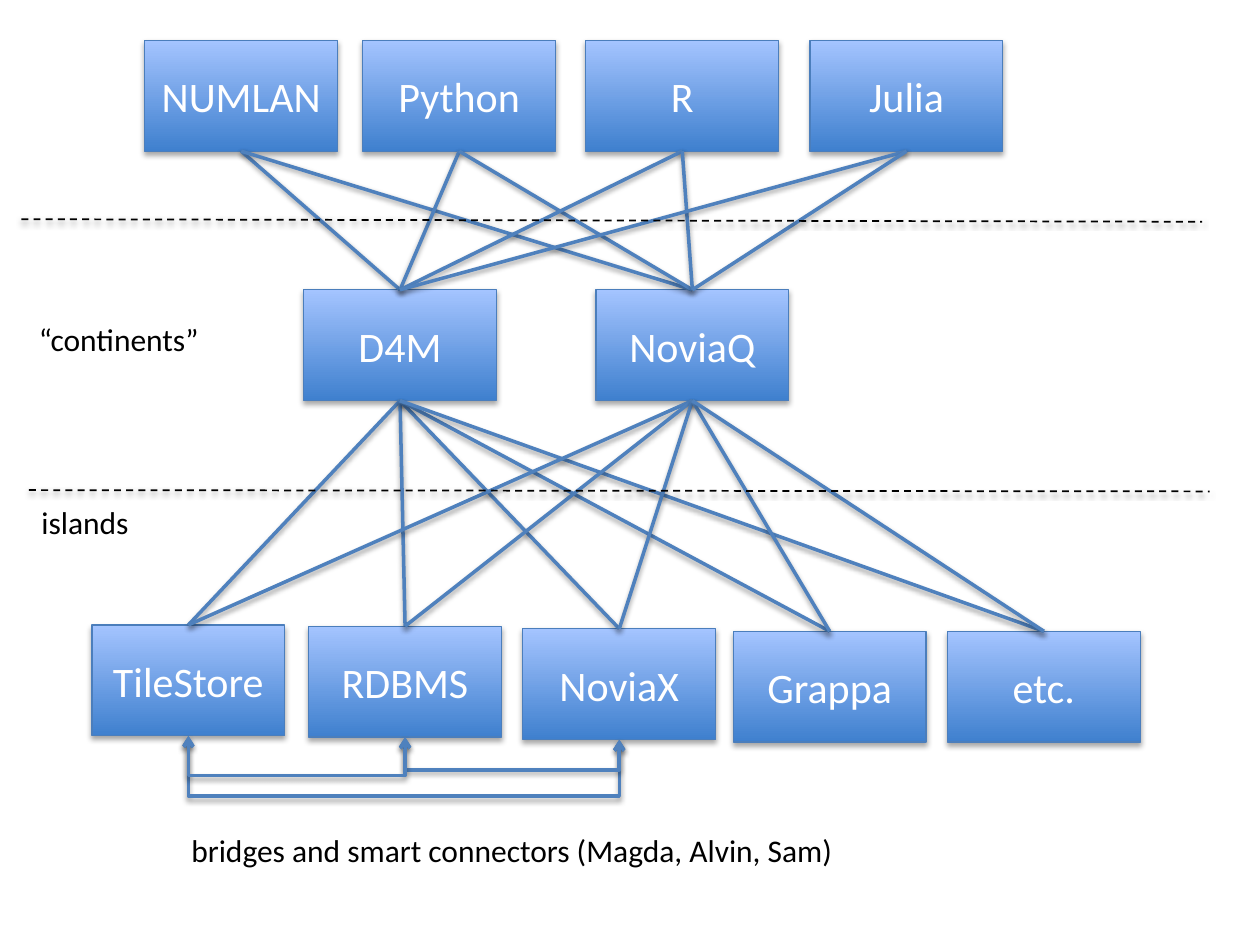
from itertools import product
from lxml.etree import SubElement as Sub
from pptx import Presentation
from pptx.dml.color import RGBColor as Rgb
from pptx.enum.dml import MSO_LINE as Dash
from pptx.enum.shapes import MSO_CONNECTOR as Link, MSO_SHAPE as Shape
from pptx.enum.text import MSO_ANCHOR as Anchor, MSO_AUTO_SIZE as Fit, PP_ALIGN as Align
from pptx.oxml.ns import qn
from pptx.util import Inches, Pt

HUE = {"low": "3F80CE", "high": "A4C4FF", "edge": "4B7EBC",
       "link": "4F81BD", "ink": "000000", "paper": "FFFFFF"}
WIDE, TALL = 1.53, 0.88
LANGS = [("NUMLAN", 1.15, 0.32), ("Python", 2.88, 0.32), ("R", 4.65, 0.32), ("Julia", 6.43, 0.32)]
LANDS = [("D4M", 2.41, 2.3), ("NoviaQ", 4.73, 2.3)]
ISLES = [("TileStore", 0.73, 4.96), ("RDBMS", 2.45, 4.97), ("NoviaX", 4.15, 4.99),
         ("Grappa", 5.82, 5.01), ("etc.", 7.52, 5.01)]
NOTES = [("“continents”", 0.21, 2.49, 1.89), ("islands", 0.23, 3.94, 1.03),
         ("bridges and smart connectors (Magda, Alvin, Sam)", 1.42, 6.55, 5.93)]
RULES = [(0.17, 1.74, 9.54, 1.76), (0.23, 3.89, 9.6, 3.9)]
BENDS = [(0, 2, 6.32), (1, 2, 6.11), (0, 1, 6.16)]


def tint(name):
    return Rgb.from_string(HUE[name])


def style(item, form):
    for key, val in form.items():
        setattr(item, key, val)


def shade(item, dist, alpha):
    fx = Sub(item._element.spPr, qn("a:effectLst"))
    cast = Sub(fx, qn("a:outerShdw"), blurRad=str(Pt(3.1)), dist=str(Pt(dist)),
               dir="5400000", rotWithShape="0")
    ink = Sub(cast, qn("a:srgbClr"), val=HUE["ink"])
    Sub(ink, qn("a:alpha"), val=str(alpha * 1000))


def write(frame, text, size, hue, align):
    para = frame.paragraphs[0]
    para.alignment = align
    run = para.add_run()
    run.text = text
    style(run.font, {"name": "Calibri", "size": Pt(size)})
    run.font.color.rgb = tint(hue)


def add_box(slide, text, left, top):
    box = slide.shapes.add_shape(Shape.RECTANGLE, Inches(left), Inches(top), Inches(WIDE), Inches(TALL))
    box.fill.gradient()
    box.fill.gradient_angle = 90
    for stop, hue in zip(box.fill.gradient_stops, ("low", "high")):
        stop.color.rgb = tint(hue)
    box.line.color.rgb = tint("edge")
    box.line.width = Pt(0.75)
    shade(box, 1.8, 35)
    style(box.text_frame, {"vertical_anchor": Anchor.MIDDLE, "word_wrap": True})
    write(box.text_frame, text, 24, "paper", Align.CENTER)
    return box


def add_row(slide, items):
    return [add_box(slide, *item) for item in items]


def add_line(slide, kind, ends, hue, form):
    line = slide.shapes.add_connector(kind, *(Inches(end) for end in ends))
    line.line.color.rgb = tint(hue)
    style(line.line, form)
    return line


def add_link(slide, upper, lower):
    line = add_line(slide, Link.STRAIGHT, (0, 0, 1, 1), "link", {"width": Pt(2)})
    line.begin_connect(upper, 2)
    line.end_connect(lower, 0)
    shade(line, 1.6, 38)


def add_rule(slide, ends):
    line = add_line(slide, Link.STRAIGHT, ends, "ink", {"width": Pt(1), "dash_style": Dash.DASH})
    shade(line, 1.6, 38)


def add_bend(slide, first, last, base):
    line = add_line(slide, Link.ELBOW, (0, 0, 1, 1), "link", {"width": Pt(2)})
    line.begin_connect(first, 2)
    line.end_connect(last, 2)
    left, top, run, rise = line.left, line.top, line.width, line.height
    style(line, {"left": left + (run - rise) // 2, "top": top + (rise - run) // 2,
                 "width": rise, "height": run})
    prop = line._element.spPr
    form = prop.find(qn("a:xfrm"))
    form.set("rot", "16200000")
    form.set("flipH", "1")
    geom = prop.find(qn("a:prstGeom"))
    drop = round((Inches(base) - top) / rise * 100000)
    Sub(geom.find(qn("a:avLst")), qn("a:gd"), name="adj1", fmla=f"val {drop}")
    for end in ("a:headEnd", "a:tailEnd"):
        Sub(prop.find(qn("a:ln")), qn(end), type="arrow")
    shade(line, 1.6, 38)


def add_note(slide, text, left, top, wide):
    note = slide.shapes.add_textbox(Inches(left), Inches(top), Inches(wide), Inches(0.4))
    style(note.text_frame, {"word_wrap": True, "auto_size": Fit.SHAPE_TO_FIT_TEXT})
    write(note.text_frame, text, 18, "ink", Align.LEFT)


def build():
    deck = Presentation()
    style(deck, {"slide_width": Inches(10), "slide_height": Inches(7.5)})
    slide = deck.slides.add_slide(deck.slide_layouts[6])
    langs, lands, isles = (add_row(slide, row) for row in (LANGS, LANDS, ISLES))
    for upper, lower in [*product(langs, lands), *product(lands, isles)]:
        add_link(slide, upper, lower)
    for ends in RULES:
        add_rule(slide, ends)
    for first, last, base in BENDS:
        add_bend(slide, isles[first], isles[last], base)
    for note in NOTES:
        add_note(slide, *note)
    deck.save("out.pptx")


build()
